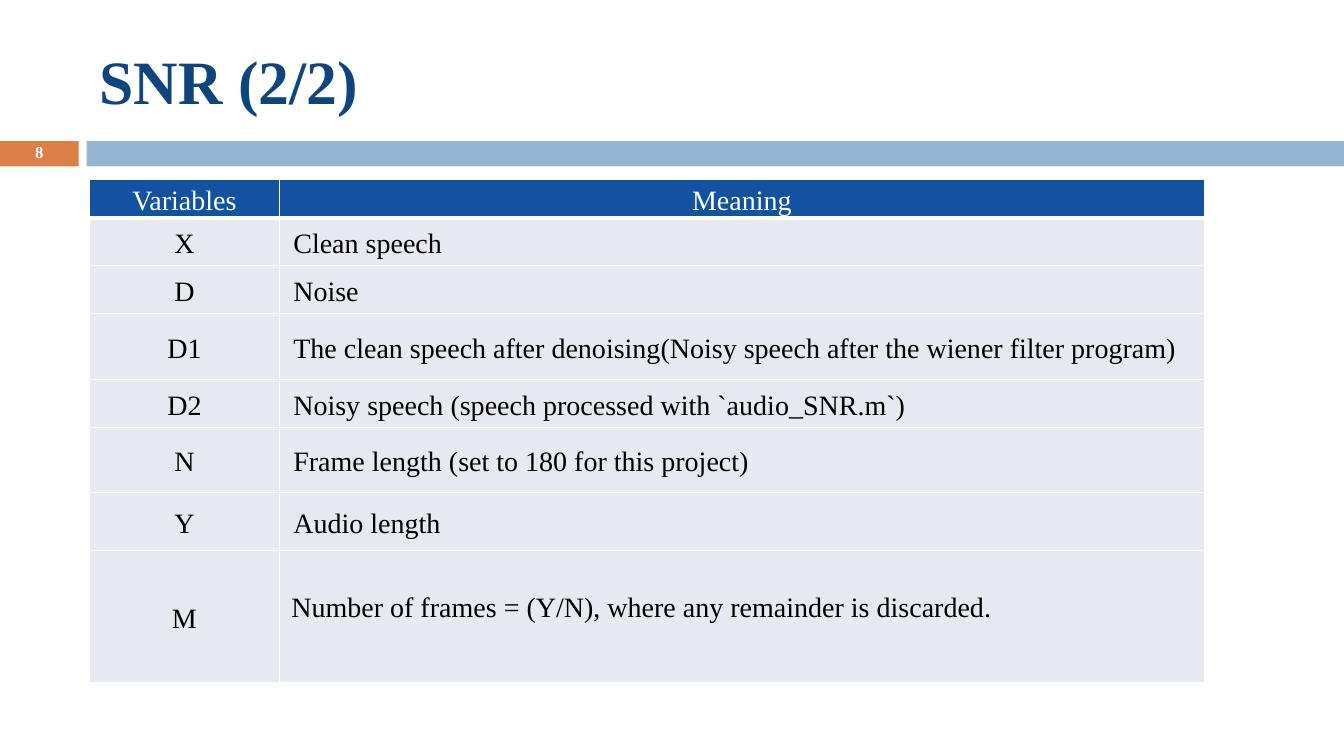
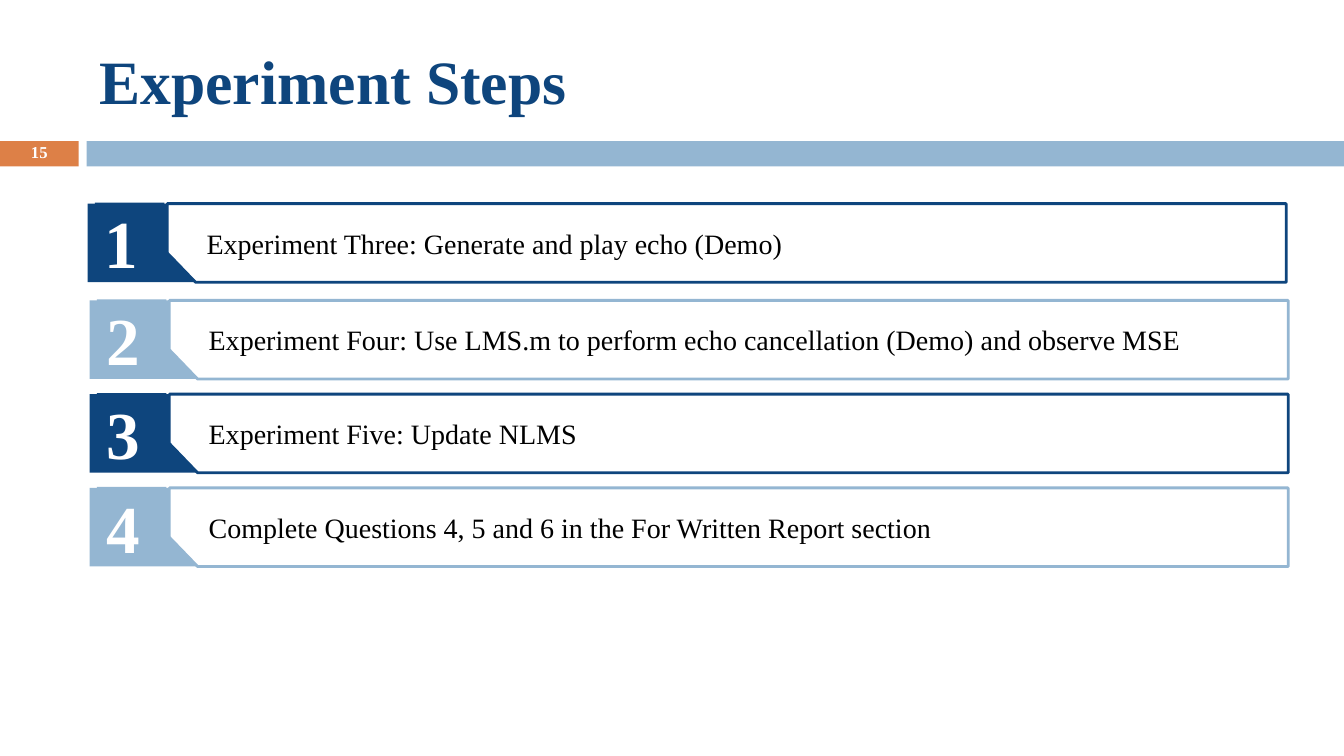
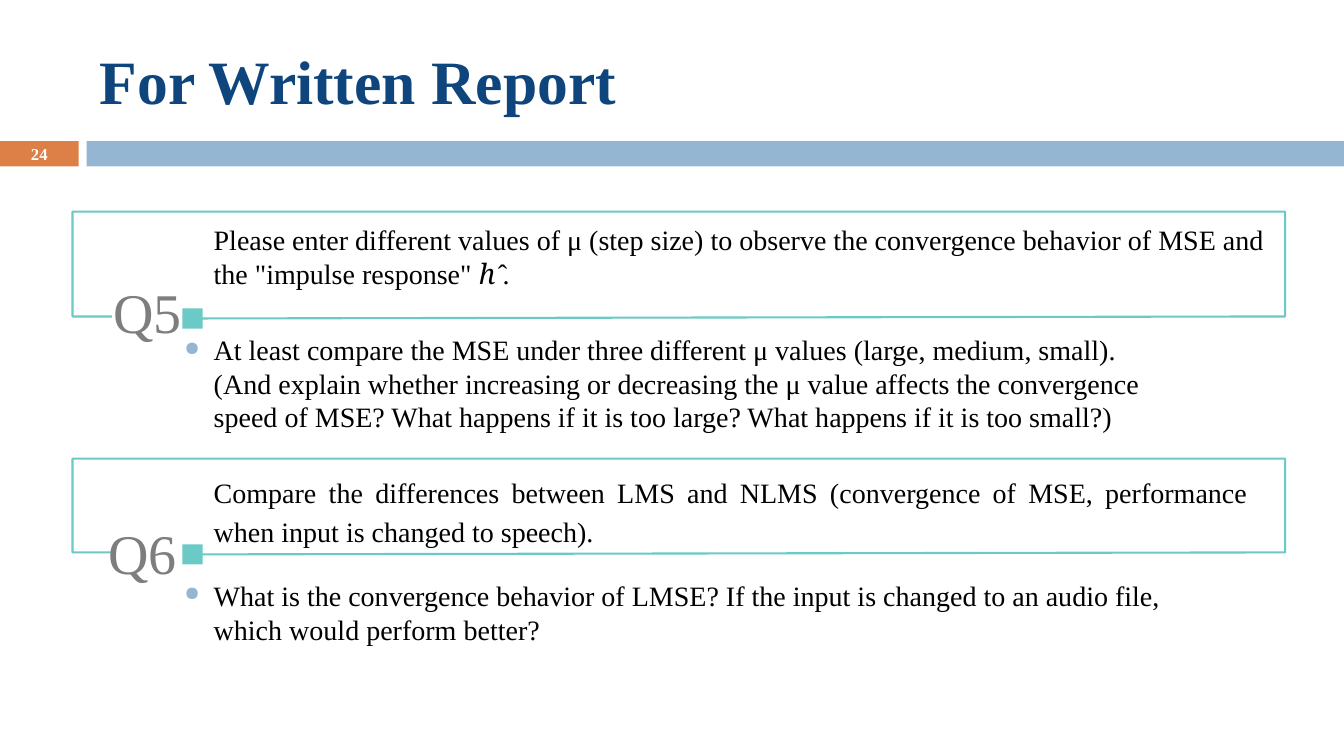
from dataclasses import dataclass
from typing import Optional, Sequence

from lxml import etree
from pptx import Presentation
from pptx.dml.color import RGBColor
from pptx.enum.shapes import MSO_SHAPE
from pptx.enum.text import MSO_ANCHOR, PP_ALIGN
from pptx.oxml.ns import qn
from pptx.util import Emu, Inches, Pt

RECTANGLE = MSO_SHAPE.RECTANGLE
TOP, MIDDLE = MSO_ANCHOR.TOP, MSO_ANCHOR.MIDDLE
LEFT, CENTER, JUSTIFY = PP_ALIGN.LEFT, PP_ALIGN.CENTER, PP_ALIGN.JUSTIFY
DEFAULT_INSETS = (1, 0.5, 1, 0.5)
NO_INSETS = (0, 0, 0, 0)


# Theme: colours and type sizes
@dataclass(frozen=True)
class Theme:
    font: str = "Times New Roman"
    white: str = "FFFFFF"
    black: str = "000000"
    navy: str = "0E457D"
    sky: str = "94B6D2"
    orange: str = "DD8047"
    header: str = "12529F"
    cell: str = "E7E9F0"
    teal: str = "6BCAC5"
    gray: str = "7E7E7E"
    title_size: float = 44
    number_size: float = 48
    label_size: float = 40
    body_size: float = 20
    page_size: float = 11.9


THEME = Theme()


# Grid: square cells of a tenth of an inch
COLUMNS, ROWS = 133.33, 75


def cells(count: float) -> Emu:
    return Inches(count / 10)


@dataclass(frozen=True)
class Box:
    left: float
    top: float
    width: float
    height: float

    def lengths(self) -> tuple:
        return tuple(cells(n) for n in (self.left, self.top, self.width, self.height))


@dataclass(frozen=True)
class TextStyle:
    size: float = THEME.body_size
    color: str = THEME.black
    bold: bool = False
    align: PP_ALIGN = LEFT
    line_spacing: Optional[float] = None
    before: float = 0
    after: float = 0
    tracking: int = 0


@dataclass(frozen=True)
class Heading:
    title: str
    page: str
    page_spacing: float = 0.8


@dataclass(frozen=True)
class Variable:
    name: str
    meaning: str
    height: float


@dataclass(frozen=True)
class Step:
    number: str
    text: str
    left: float
    top: float
    color: str


@dataclass(frozen=True)
class Question:
    label: str
    label_box: Box
    frame_top: float
    frame_height: float
    prompt: Sequence[str]
    prompt_box: Box
    prompt_style: TextStyle
    detail: str
    detail_box: Box


BODY = TextStyle()
TITLE = TextStyle(THEME.title_size, THEME.navy, True)
NUMBER = TextStyle(THEME.number_size, THEME.white, True)
LABEL = TextStyle(THEME.label_size, THEME.gray, tracking=-40)
DETAIL = TextStyle(before=5.5)

VARIABLES = (
    Variable("X", "Clean speech", 4.7),
    Variable("D", "Noise", 4.8),
    Variable("D1", "The clean speech after denoising(Noisy speech after the "
             "wiener filter program)", 6.5),
    Variable("D2", "Noisy speech (speech processed with `audio_SNR.m`)", 4.8),
    Variable("N", "Frame length (set to 180 for this project)", 6.4),
    Variable("Y", "Audio length", 5.8),
    Variable("M", "Number of frames = (Y/N), where any remainder is discarded.", 13.1),
)

STEPS = (
    Step("1", "Experiment Three: Generate and play echo (Demo)", 8.7, 20.2, THEME.navy),
    Step("2", "Experiment Four: Use LMS.m to perform echo cancellation (Demo) "
         "and observe MSE", 8.9, 29.8, THEME.sky),
    Step("3", "Experiment Five: Update NLMS", 8.9, 39.1, THEME.navy),
    Step("4", "Complete Questions 4, 5 and 6 in the For Written Report section",
         8.9, 48.4, THEME.sky),
)

QUESTIONS = (
    Question("Q5", Box(11.3, 27.5, 8.8, 6.7), 21, 10.4,
             ("Please enter different values of μ (step size) to observe the convergence "
              "behavior of MSE and the \"impulse response\" ", "ℎ ̂", "."),
             Box(21.2, 22.1, 107.7, 6.7), BODY,
             "At least compare the MSE under three different μ values (large, medium, "
             "small). (And explain whether increasing or decreasing the μ value affects "
             "the convergence speed of MSE? What happens if it is too large? What happens "
             "if it is too small?)", Box(16.3, 33, 99.2, 10.1)),
    Question("Q6", Box(10.8, 51.4, 9.2, 6.7), 45.5, 9.3,
             ("Compare the differences between LMS and NLMS (convergence of MSE, "
              "performance when input is changed to speech).",),
             Box(21.2, 46.7, 102.6, 7.5),
             TextStyle(align=JUSTIFY, line_spacing=1.15, before=12),
             "What is the convergence behavior of LMSE? If the input is changed to an "
             "audio file, which would perform better?", Box(16.3, 57.4, 99.2, 6.7)),
)


# Shared drawing helpers
def rgb(color: str) -> RGBColor:
    return RGBColor.from_string(color)


def format_paragraph(paragraph, style: TextStyle) -> None:
    paragraph.alignment = style.align
    paragraph.space_before = Pt(style.before)
    paragraph.space_after = Pt(style.after)
    if style.line_spacing:
        paragraph.line_spacing = style.line_spacing
    for run in paragraph.runs:
        run.font.name = THEME.font
        run.font.size = Pt(style.size)
        run.font.bold = style.bold
        run.font.color.rgb = rgb(style.color)
        if style.tracking:
            run.font._element.set("spc", str(style.tracking))


def set_text(shape, text: str, style: TextStyle, insets=DEFAULT_INSETS,
             anchor: MSO_ANCHOR = MIDDLE, wrap: bool = True):
    frame = shape.text_frame
    frame.text = text
    frame.word_wrap = wrap
    frame.vertical_anchor = anchor
    (frame.margin_left, frame.margin_top,
     frame.margin_right, frame.margin_bottom) = (cells(n) for n in insets)
    format_paragraph(frame.paragraphs[0], style)
    return frame.paragraphs[0]


def add_text(slide, box: Box, text: str, style: TextStyle, insets=DEFAULT_INSETS,
             anchor: MSO_ANCHOR = MIDDLE):
    return set_text(slide.shapes.add_textbox(*box.lengths()), text, style, insets, anchor)


def paint(shape, fill: Optional[str], line: Optional[str] = None, width: float = 0) -> None:
    shape.shadow.inherit = False
    if fill:
        shape.fill.solid()
        shape.fill.fore_color.rgb = rgb(fill)
    else:
        shape.fill.background()
    if line:
        shape.line.color.rgb = rgb(line)
        shape.line.width = Pt(width)
    else:
        shape.line.fill.background()


def add_rectangle(slide, box: Box, fill: str):
    shape = slide.shapes.add_shape(RECTANGLE, *box.lengths())
    paint(shape, fill)
    return shape


def add_outline(slide, points: Sequence[tuple], close: bool = True):
    corners = [(cells(x), cells(y)) for x, y in points]
    builder = slide.shapes.build_freeform(*corners[0])
    builder.add_line_segments(corners[1:], close=close)
    return builder.convert_to_shape()


def add_bullet(paragraph) -> None:
    properties = paragraph._p.get_or_add_pPr()
    properties.set("marL", str(cells(4.9)))
    properties.set("indent", str(cells(-2.9)))
    color = etree.SubElement(properties, qn("a:buClr"))
    etree.SubElement(color, qn("a:srgbClr"), val=THEME.sky)
    etree.SubElement(properties, qn("a:buSzPct"), val="70000")
    etree.SubElement(properties, qn("a:buChar"), char="●")


def add_slide(presentation, heading: Heading):
    slide = presentation.slides.add_slide(presentation.slide_layouts[6])
    add_rectangle(slide, Box(0, 14, 7.8, 2.5), THEME.orange)
    add_rectangle(slide, Box(8.6, 14, COLUMNS - 8.6, 2.5), THEME.sky)
    add_text(slide, Box(8.9, 2.5, 118.9, 10.8), heading.title, TITLE)
    page = TextStyle(THEME.page_size, THEME.white, True, CENTER, heading.page_spacing)
    add_text(slide, Box(0, 13.9, 7.8, 2.7), heading.page, page)
    return slide


# Table of variables
def set_borders(cell, top: float, bottom: float) -> None:
    properties = cell._tc.get_or_add_tcPr()
    for side, width in (("L", 1), ("R", 1), ("T", top), ("B", bottom)):
        line = etree.SubElement(properties, qn(f"a:ln{side}"), w=str(Pt(width)))
        fill = etree.SubElement(line, qn("a:solidFill"))
        etree.SubElement(fill, qn("a:srgbClr"), val=THEME.white)


def fill_cell(cell, text: str, fill: str, style: TextStyle, insets,
              anchor: MSO_ANCHOR, top: float, bottom: float) -> None:
    set_borders(cell, top, bottom)
    cell.fill.solid()
    cell.fill.fore_color.rgb = rgb(fill)
    cell.text = text
    cell.vertical_anchor = anchor
    (cell.margin_left, cell.margin_top,
     cell.margin_right, cell.margin_bottom) = (cells(n) for n in insets)
    format_paragraph(cell.text_frame.paragraphs[0], style)


def draw_variables(slide) -> None:
    widths = (18.8, 91.8)
    rows = (Variable("Variables", "Meaning", 3.7), *VARIABLES)
    box = Box(8.9, 17.8, sum(widths), sum(row.height for row in rows))
    table = slide.shapes.add_table(len(rows), len(widths), *box.lengths()).table
    table.horz_banding = False
    for column, width in zip(table.columns, widths):
        column.width = cells(width)

    for index, row in enumerate(rows):
        table.rows[index].height = cells(row.height)
        is_header, is_last = index == 0, index == len(rows) - 1
        fill = THEME.header if is_header else THEME.cell
        color = THEME.white if is_header else THEME.black
        centered = TextStyle(color=color, align=CENTER, line_spacing=1.15,
                             before=4.8, after=4.8)
        top, bottom = (3 if index == 1 else 1), (3 if is_header else 1)
        name_insets = (0.7, 0, 0.7, 0)
        fill_cell(table.cell(index, 0), row.name, fill, centered, name_insets,
                  MIDDLE, top, bottom)
        style, insets, anchor = centered, name_insets, MIDDLE
        if is_last:
            style, insets, anchor = TextStyle(line_spacing=1.15), (1.2, 3.7, 1.2, 0), TOP
        elif not is_header:
            style, insets = TextStyle(align=JUSTIFY, line_spacing=1.15), (1.4, 0, 0.7, 0)
        fill_cell(table.cell(index, 1), row.meaning, fill, style, insets,
                  anchor, top, bottom)


# Numbered step: panel, notched tab and number
def draw_step(slide, step: Step) -> None:
    left, top, bottom = step.left, step.top, step.top + 7.8
    edge, notch = left + 7.9, top + 4.9
    right = edge + 111
    panel = add_outline(slide, ((edge, top), (right, top), (right, bottom),
                                (edge + 2.8, bottom), (edge, notch)))
    paint(panel, THEME.white, step.color, 2)
    set_text(panel, step.text, BODY, (3.9, 0.5, 1, 0.5))
    tab = add_outline(slide, ((left, top), (edge, top), (edge, notch),
                              (edge + 2.9, bottom), (left, bottom)))
    paint(tab, step.color)
    number = add_rectangle(slide, Box(left + 0.7, top - 0.1, 6.9, 7.8), step.color)
    set_text(number, step.number, NUMBER, wrap=False)


# Question: open frame, marker, label, prompt and bulleted detail
def draw_question(slide, question: Question) -> None:
    left, right = 7.2, 127.5
    top, bottom = question.frame_top, question.frame_top + question.frame_height
    frame = add_outline(slide, ((11.1, bottom), (left, bottom), (left, top), (right, top),
                                (right, bottom), (19.4, bottom + 0.2)), close=False)
    paint(frame, None, THEME.teal, 1.5)
    add_rectangle(slide, Box(18.1, bottom - 0.8, 2, 2), THEME.teal)
    add_text(slide, question.label_box, question.label, LABEL, NO_INSETS, TOP)
    paragraph = add_text(slide, question.prompt_box, question.prompt[0],
                         question.prompt_style, NO_INSETS, TOP)
    for part in question.prompt[1:]:
        paragraph.add_run().text = part
    format_paragraph(paragraph, question.prompt_style)
    add_bullet(add_text(slide, question.detail_box, question.detail, DETAIL, NO_INSETS, TOP))


def main() -> None:
    presentation = Presentation()
    presentation.slide_width, presentation.slide_height = cells(COLUMNS), cells(ROWS)

    draw_variables(add_slide(presentation, Heading("SNR (2/2)", "8")))

    steps_slide = add_slide(presentation, Heading("Experiment Steps", "15"))
    for step in STEPS:
        draw_step(steps_slide, step)

    report_slide = add_slide(presentation, Heading("For Written Report", "24", 1))
    for question in QUESTIONS:
        draw_question(report_slide, question)

    presentation.save("out.pptx")


if __name__ == "__main__":
    main()
